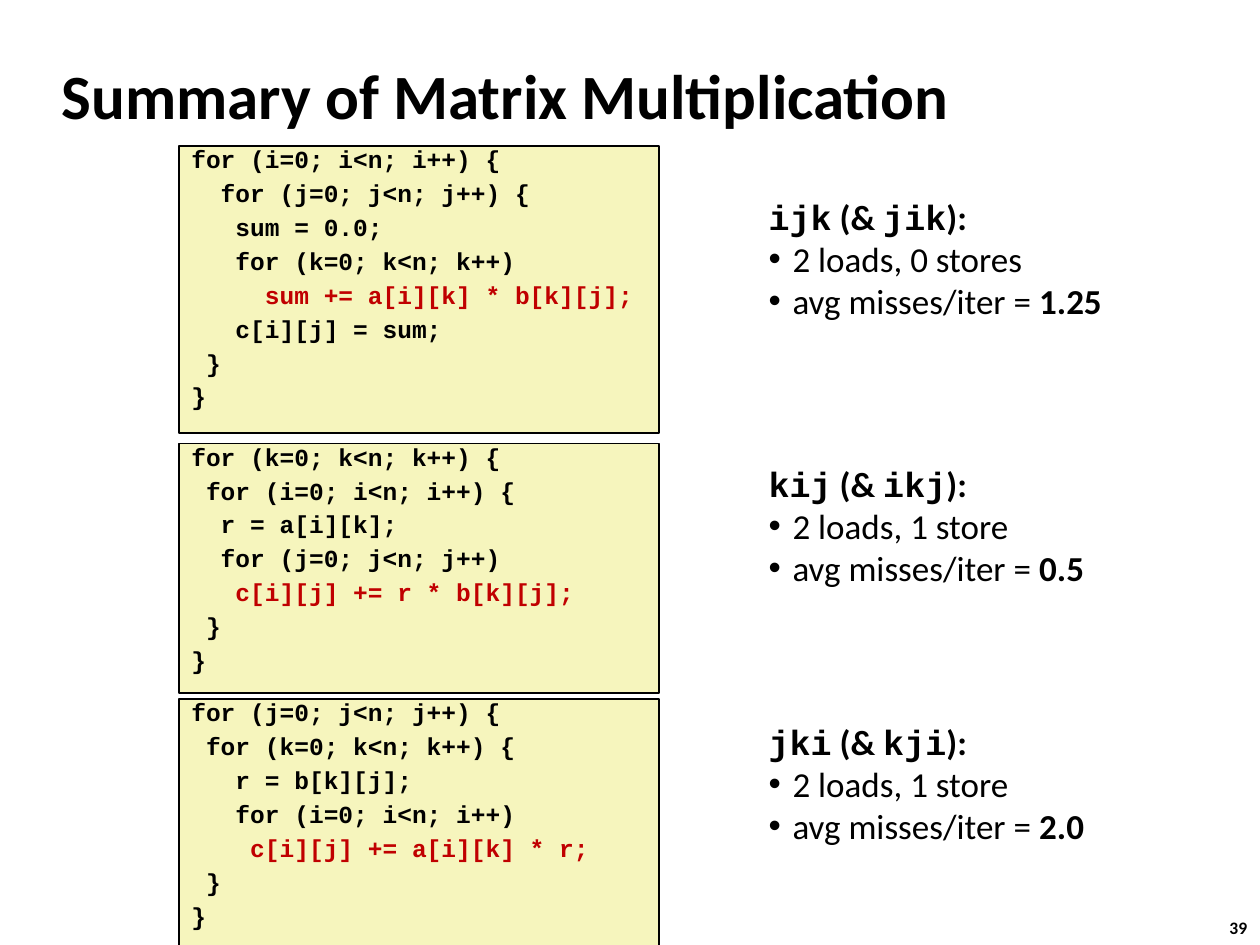
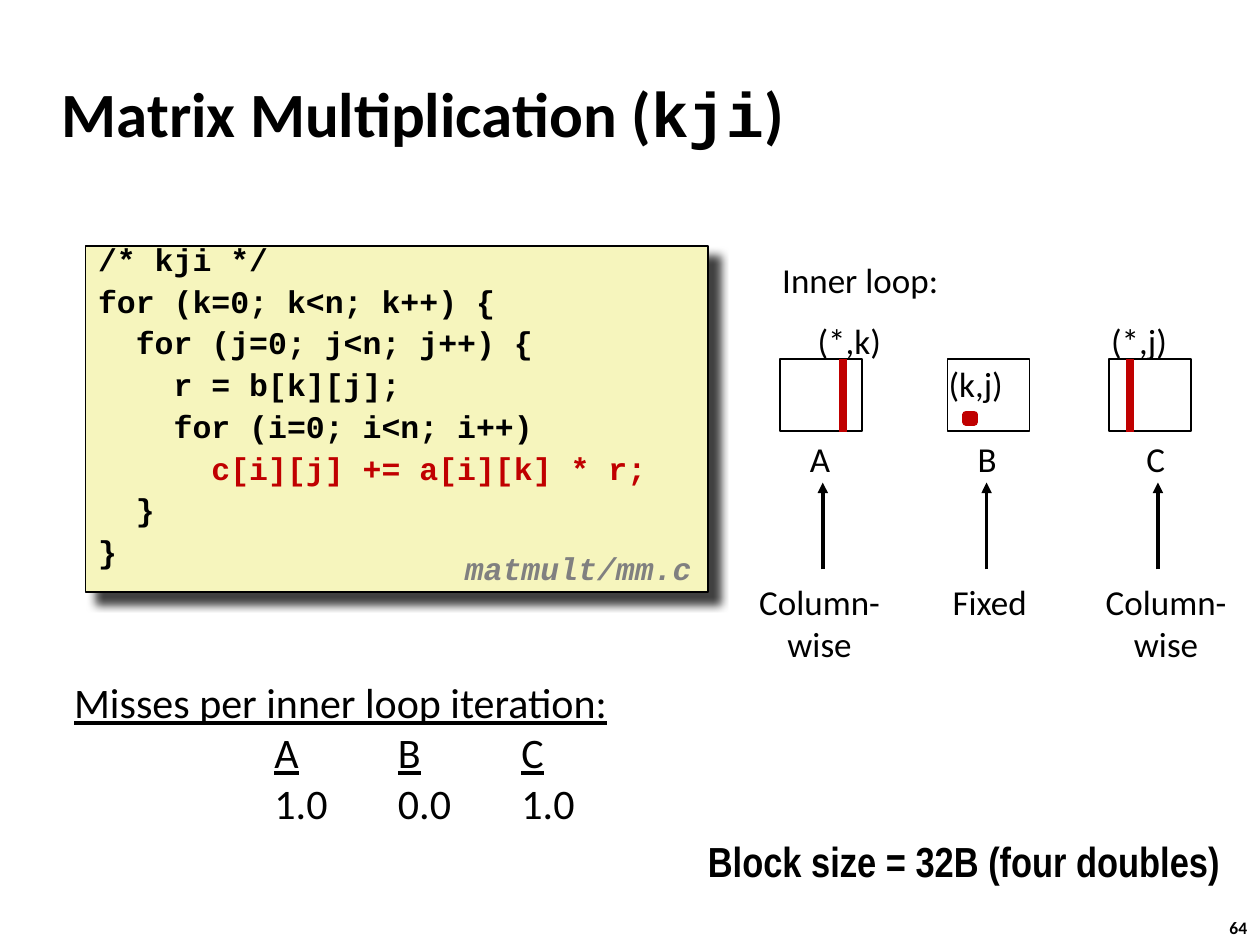
from lxml import etree
from pptx import Presentation
from pptx.dml.color import RGBColor
from pptx.enum.shapes import MSO_CONNECTOR, MSO_SHAPE
from pptx.enum.text import MSO_ANCHOR, MSO_AUTO_SIZE, PP_ALIGN
from pptx.oxml.ns import qn
from pptx.util import Inches, Pt

RECT = MSO_SHAPE.RECTANGLE
STRAIGHT = MSO_CONNECTOR.STRAIGHT
LEFT, CENTER = PP_ALIGN.LEFT, PP_ALIGN.CENTER
TOP, MIDDLE = MSO_ANCHOR.TOP, MSO_ANCHOR.MIDDLE
NO_FIT = MSO_AUTO_SIZE.NONE

COLORS = {"ink": "000000", "paper": "FFFFFF", "code": "F6F5BD",
          "accent": "C00000", "file": "808080"}
SANS, MONO, NARROW = "Calibri", "Courier New", "Arial Narrow"
COMPARISON, TITLE_ONLY = 4, 5

IJK = """for (i=0; i<n; i++) {
  for (j=0; j<n; j++) {
   sum = 0.0;
   for (k=0; k<n; k++)
     sum += a[i][k] * b[k][j];
   c[i][j] = sum;
 }
}"""
KIJ = """for (k=0; k<n; k++) {
 for (i=0; i<n; i++) {
  r = a[i][k];
  for (j=0; j<n; j++)
   c[i][j] += r * b[k][j];
 }
}"""
JKI = """for (j=0; j<n; j++) {
 for (k=0; k<n; k++) {
   r = b[k][j];
   for (i=0; i<n; i++)
    c[i][j] += a[i][k] * r;
 }
}"""
KJI = """/* kji */
for (k=0; k<n; k++) {
  for (j=0; j<n; j++) {
    r = b[k][j];
    for (i=0; i<n; i++)
      c[i][j] += a[i][k] * r;
  }
}"""


class Deck:
    """Holds the shared style and the slide being built."""

    def __init__(self):
        self.prs = Presentation()
        self.prs.slide_width, self.prs.slide_height = Inches(10), Inches(7.5)
        self.s = None

    def color(self, name):
        return RGBColor.from_string(COLORS[name])

    def slide(self, layout, title, top, number):
        self.s = self.prs.slides.add_slide(self.prs.slide_layouts[layout])
        sp = self.s.shapes.title
        self.place(sp, (0.39, top, 8.3, 0.83))
        tf = self.frame(sp, anchor=MIDDLE)
        self.runs(tf.paragraphs[0], title, size=36, bold=True)
        self.text((9.66, 7.23, 0.37, 0.27), str(number), size=10, bold=True)

    def place(self, sp, box):
        for name, value in zip(("left", "top", "width", "height"), box):
            setattr(sp, name, Inches(value))

    def frame(self, sp, anchor=TOP, wrap=True):
        tf = sp.text_frame
        values = {"auto_size": NO_FIT, "word_wrap": wrap, "vertical_anchor": anchor}
        for name, value in values.items():
            setattr(tf, name, value)
        return tf

    def runs(self, p, parts, align=LEFT, size=20, color="ink", **style):
        p.alignment = align
        p.space_before = Pt(0)
        for part in [(parts, {})] if isinstance(parts, str) else parts:
            r = p.add_run()
            r.text = part[0]
            values = {"name": SANS, "bold": False, "size": Pt(size), **style, **part[1]}
            for name, value in values.items():
                setattr(r.font, name, value)
            r.font.color.rgb = self.color(color)

    def lines(self, tf, count):
        return [tf.paragraphs[0]] + [tf.add_paragraph() for _ in range(count - 1)]

    def text(self, box, text, wrap=False, **style):
        sp = self.s.shapes.add_textbox(*map(Inches, box))
        tf = self.frame(sp, wrap=wrap)
        rows = text.split("\n")
        for p, row in zip(self.lines(tf, len(rows)), rows):
            self.runs(p, row, **style)
        return tf

    def bullets(self, sp, box, heading, items):
        self.place(sp, box)
        tf = self.frame(sp)
        for p, parts in zip(self.lines(tf, len(items) + 1), [heading] + items):
            pPr = p._p.get_or_add_pPr()
            margin = 0 if parts is heading else Inches(0.19)
            pPr.set("marL", str(margin))
            pPr.set("indent", str(-margin))
            if margin:
                etree.SubElement(pPr, qn("a:buFont"), typeface="Arial")
                etree.SubElement(pPr, qn("a:buChar"), char="•")
            else:
                etree.SubElement(pPr, qn("a:buNone"))
            self.runs(p, parts)

    def rect(self, box, fill, line="ink", width=1):
        sp = self.s.shapes.add_shape(RECT, *map(Inches, box))
        sp.shadow.inherit = False
        sp.fill.solid()
        sp.fill.fore_color.rgb = self.color(fill)
        sp.line.color.rgb = self.color(line)
        sp.line.width = Pt(width)
        return sp

    def code(self, box, source, size, spacing):
        sp = self.rect(box, "code")
        rows = source.split("\n")
        for i, (p, row) in enumerate(zip(self.lines(self.frame(sp), len(rows)), rows)):
            self.runs(p, row, size=size, name=MONO, bold=True,
                      color="accent" if "+=" in row else "ink")
            p.line_spacing = spacing
            if i:
                p.space_before = Pt(round(0.545 * size, 1))
        return sp

    def drop_shadow(self, sp):
        effects = sp._element.spPr.find(qn("a:effectLst"))
        shadow = etree.SubElement(effects, qn("a:outerShdw"), blurRad=str(Pt(5)),
                                  dist=str(Pt(8.5)), dir=str(45 * 60000),
                                  algn="tl", rotWithShape="0")
        ink = etree.SubElement(shadow, qn("a:srgbClr"), val=COLORS["ink"])
        etree.SubElement(ink, qn("a:alpha"), val="75000")

    def line(self, x, start, end, color, width, arrow=False):
        c = self.s.shapes.add_connector(STRAIGHT, *map(Inches, (x, start, x, end)))
        c.line.color.rgb = self.color(color)
        c.line.width = Pt(width)
        if arrow:
            etree.SubElement(c.line._get_or_add_ln(), qn("a:tailEnd"), type="triangle")
        etree.SubElement(c._element.spPr, qn("a:effectLst"))

    def tabs(self, p, stops):
        tab_list = etree.SubElement(p._p.get_or_add_pPr(), qn("a:tabLst"))
        for stop in stops:
            etree.SubElement(tab_list, qn("a:tab"), pos=str(Inches(stop)), algn="l")


def summary_slide(deck):
    deck.slide(COMPARISON, "Summary of Matrix Multiplication", 0.33, 39)
    bodies = [sp for sp in deck.s.placeholders if sp.placeholder_format.idx in range(1, 5)]
    versions = [
        (IJK, 1.16, 2.28, 1.5, "ijk", "jik", "2 loads, 0 stores", "1.25"),
        (KIJ, 3.52, 1.98, 3.62, "kij", "ikj", "2 loads, 1 store", "0.5"),
        (JKI, 5.55, 1.98, 5.67, "jki", "kji", "2 loads, 1 store", "2.0"),
    ]
    bold, mono = {"bold": True}, {"bold": True, "name": MONO}
    for sp, version in zip(bodies, versions):
        source, top, height, list_top, order, twin, access, misses = version
        heading = [(order, mono), (" (& ", bold), (twin, mono), ("):", bold)]
        deck.bullets(sp, (6, list_top, 3.01, 1.11), heading,
                     [access, [("avg misses/iter = ", {}), (misses, bold)]])
        deck.code((1.42, top, 3.81, height), source, 14, 0.7)
    for sp in bodies[len(versions):]:
        sp._element.getparent().remove(sp._element)


def kji_slide(deck):
    title = [("Matrix Multiplication (", {}), ("kji", {"name": MONO}), (")", {})]
    deck.slide(TITLE_ONLY, title, 0.48, 64)
    deck.drop_shadow(deck.code((0.68, 1.95, 4.94, 2.75), KJI, 18, 0.65))
    tf = deck.text((3.59, 4.33, 2.08, 0.39), "matmult/mm.c", size=18, color="file",
                   name=MONO, bold=True, italic=True)
    tf.paragraphs[0].line_spacing = 0.94

    deck.text((6.11, 2, 1.45, 0.43), "Inner loop:")
    matrices = [
        ("A", 6.19, (6.33, 0.37), 6.53, "Column-\nwise", (5.92, 1.17)),
        ("B", 7.52, (7.66, 0.35), 7.83, "Fixed", (7.46, 0.79)),
        ("C", 8.8, (9, 0.35), 9.19, "Column-\nwise", (8.67, 1.17)),
    ]
    for name, left, (name_x, name_w), arrow_x, access, (access_x, access_w) in matrices:
        deck.rect((left, 2.85, 0.65, 0.57), "paper")
        deck.text((name_x, 3.42, name_w, 0.43), name)
        deck.line(arrow_x, 4.52, 3.83, "ink", 2, arrow=True)
        height = 0.43 + 0.34 * access.count("\n")
        deck.text((access_x, 4.56, access_w, height), access, align=CENTER)
    for index, left, top, width in [("(*,k)", 6.39, 2.49, 0.71), ("(k,j)", 7.43, 2.83, 0.63),
                                    ("(*,j)", 8.72, 2.49, 0.65)]:
        deck.text((left, top, width, 0.43), index)
    for column_x in (6.69, 8.97):
        deck.line(column_x, 3.43, 2.85, "accent", 4.5)
    deck.rect((7.67, 3.29, 0.06, 0.06), "ink", "accent", 4.5)

    tf = deck.text((0.49, 5.32, 5.43, 1.34), "Misses per inner loop iteration:",
                   wrap=True, size=24, underline=True)
    for values, underline in (("ABC", True), (("1.0", "0.0", "1.0"), False)):
        p = tf.add_paragraph()
        deck.tabs(p, [1.59 + 0.98 * i for i in range(3)])
        parts = []
        for value in values:
            parts += [("\t", {}), (value, {"underline": underline})]
        deck.runs(p, parts, size=24)
    deck.text((5.52, 6.58, 4.4, 0.5), "Block size = 32B (four doubles)", wrap=True,
              size=24, name=NARROW, bold=True)


def main():
    deck = Deck()
    summary_slide(deck)
    kji_slide(deck)
    deck.prs.save("out.pptx")


if __name__ == "__main__":
    main()
